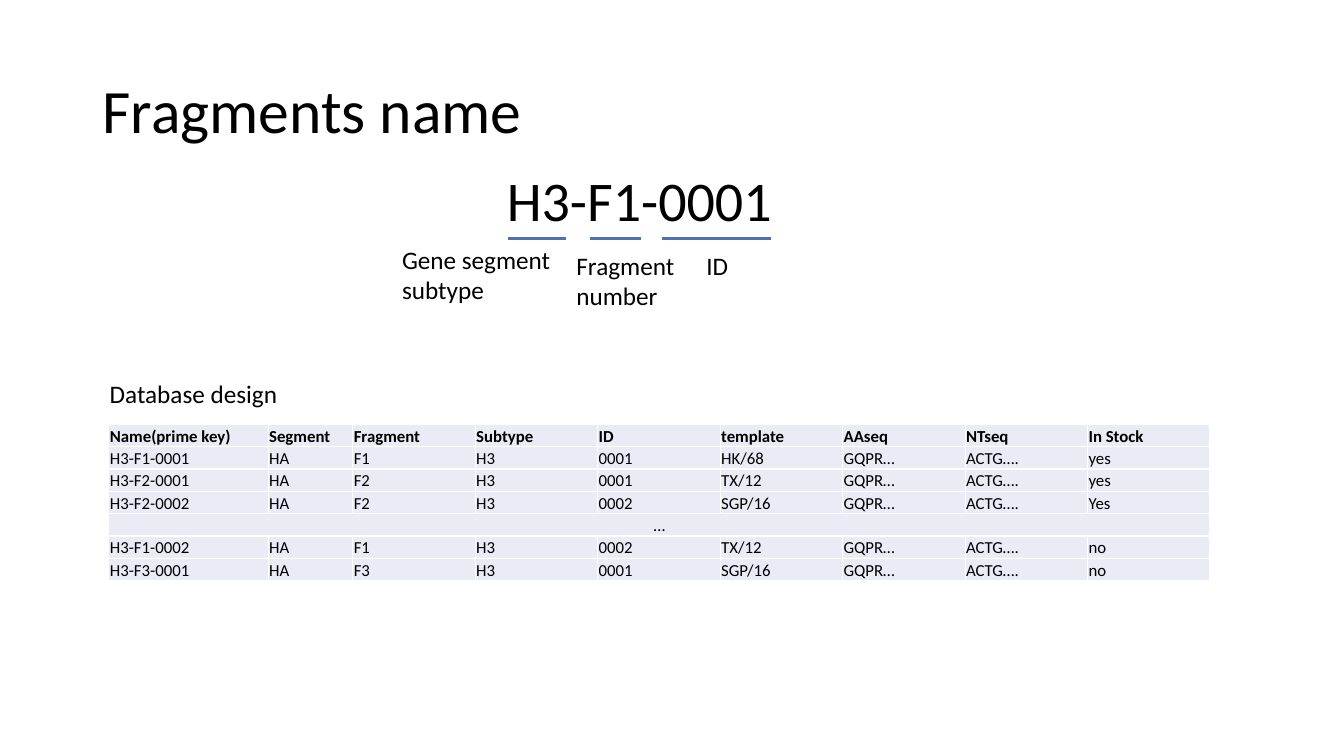
from dataclasses import dataclass

from lxml.etree import SubElement
from pptx import Presentation
from pptx.dml.color import RGBColor
from pptx.enum.shapes import MSO_CONNECTOR
from pptx.enum.text import MSO_ANCHOR, MSO_AUTO_SIZE, PP_ALIGN
from pptx.oxml import parse_xml
from pptx.oxml.ns import nsdecls, qn
from pptx.util import Inches, Pt


@dataclass(frozen=True)
class Theme:
    font: str = "Calibri"
    ink: str = "000000"
    accent: str = "4472C4"
    cell_fill: str = "E9EBF5"
    cell_border: str = "FFFFFF"
    title_size: int = 44
    name_size: int = 40
    label_size: int = 18
    table_size: int = 12
    rule_width: float = 2.25
    border_width: float = 1


def write(frame, text, theme, *, size, bold=False, align=PP_ALIGN.LEFT,
          anchor=MSO_ANCHOR.TOP, spacing=1.0):
    """Fill a text frame, one paragraph per line of text."""
    frame.vertical_anchor = anchor
    for index, line in enumerate(text.split("\n")):
        para = frame.paragraphs[0] if index == 0 else frame.add_paragraph()
        para.alignment = align
        para.line_spacing = spacing
        span = para.add_run()
        span.text = line
        span.font.name = theme.font
        span.font.size = Pt(size)
        span.font.bold = bold
        span.font.color.rgb = RGBColor.from_string(theme.ink)


class Page:
    """A slide on a grid of square cells, a tenth of an inch each."""
    CELL = 0.1

    def __init__(self, deck, theme):
        self.theme = theme
        self.shapes = deck.slides.add_slide(deck.slide_layouts[6]).shapes

    def grid(self, *lengths):
        return [Inches(length * self.CELL) for length in lengths]

    def text(self, text, column, row, columns, rows, *, wrap=True, grow=True, **style):
        box = self.shapes.add_textbox(*self.grid(column, row, columns, rows))
        box.text_frame.word_wrap = wrap
        box.text_frame.auto_size = (
            MSO_AUTO_SIZE.SHAPE_TO_FIT_TEXT if grow else MSO_AUTO_SIZE.NONE)
        write(box.text_frame, text, self.theme, **style)

    def underline(self, start, end, row):
        line = self.shapes.add_connector(
            MSO_CONNECTOR.STRAIGHT, *self.grid(start, row, end, row))
        line.line.color.rgb = RGBColor.from_string(self.theme.accent)
        line.line.width = Pt(self.theme.rule_width)
        SubElement(line._element.spPr, qn("a:effectLst"))

    def table(self, records, column, row, widths, row_height):
        frame = self.shapes.add_table(
            len(records), len(widths),
            *self.grid(column, row, sum(widths), row_height * len(records)))
        table = frame.table
        table.first_row = table.horz_banding = False
        for table_column, width in zip(table.columns, self.grid(*widths)):
            table_column.width = width
        for row_index, record in enumerate(records):
            table.rows[row_index].height = self.grid(row_height)[0]
            spans_row = len(record) == 1
            if spans_row:
                table.cell(row_index, 0).merge(table.cell(row_index, len(widths) - 1))
            for column_index in range(len(widths)):
                cell = table.cell(row_index, column_index)
                self.style_cell(cell)
                if column_index < len(record):
                    write(cell.text_frame, record[column_index], self.theme,
                          size=self.theme.table_size, bold=row_index == 0,
                          align=PP_ALIGN.CENTER if spans_row else PP_ALIGN.LEFT)
                cell.vertical_anchor = MSO_ANCHOR.BOTTOM

    def style_cell(self, cell):
        cell.margin_left = cell.margin_right = cell.margin_top = Inches(0.01)
        cell.margin_bottom = 0
        cell.fill.solid()
        cell.fill.fore_color.rgb = RGBColor.from_string(self.theme.cell_fill)
        properties = cell._tc.get_or_add_tcPr()
        for position, side in enumerate("LRTB"):
            properties.insert(position, parse_xml(
                f'<a:ln{side} {nsdecls("a")} w="{Pt(self.theme.border_width)}">'
                f'<a:solidFill><a:srgbClr val="{self.theme.cell_border}"/></a:solidFill>'
                f'</a:ln{side}>'))


def fragment(name, template, stock):
    """One database record; the name holds subtype, fragment and ID."""
    subtype, number, identifier = name.split("-")
    return [name, "HA", number, subtype, identifier, template, "GQPR…", "ACTG….", stock]


def main():
    deck = Presentation()
    deck.slide_width, deck.slide_height = Inches(13.333), Inches(7.5)
    theme = Theme()
    page = Page(deck, theme)

    # Title
    page.text("Fragments name", 9.2, 4, 115, 14.5, grow=False,
              size=theme.title_size, anchor=MSO_ANCHOR.MIDDLE, spacing=0.9)

    # Example name with its three underlined parts
    page.text("H3-F1-0001", 49.3, 15.9, 28.6, 7.7, wrap=False, size=theme.name_size)
    for start, end in [(50.4, 56.2), (58.5, 63.6), (65.7, 76.5)]:
        page.underline(start, end, 23.7)

    # Labels of the parts and heading of the table
    for label, column, row, columns, rows, wrap in [
        ("Gene segment\nsubtype", 38.9, 23.7, 16.9, 7.1, False),
        ("Fragment\nnumber", 56.2, 24.3, 11.8, 7.1, True),
        ("ID", 69.1, 24.3, 11.8, 4, True),
        ("Database design", 9.9, 37, 18.8, 4, False),
    ]:
        page.text(label, column, row, columns, rows, wrap=wrap, size=theme.label_size)

    # Database table
    records = [
        ["Name(prime key)", "Segment", "Fragment", "Subtype", "ID",
         "template", "AAseq", "NTseq", "In Stock"],
        fragment("H3-F1-0001", "HK/68", "yes"),
        fragment("H3-F2-0001", "TX/12", "yes"),
        fragment("H3-F2-0002", "SGP/16", "Yes"),
        ["…"],
        fragment("H3-F1-0002", "TX/12", "no"),
        fragment("H3-F3-0001", "SGP/16", "no"),
    ]
    page.table(records, 10.8, 42.1, [15.8, 8.4] + [12.15] * 7, 2.22)

    deck.save("out.pptx")


if __name__ == "__main__":
    main()
